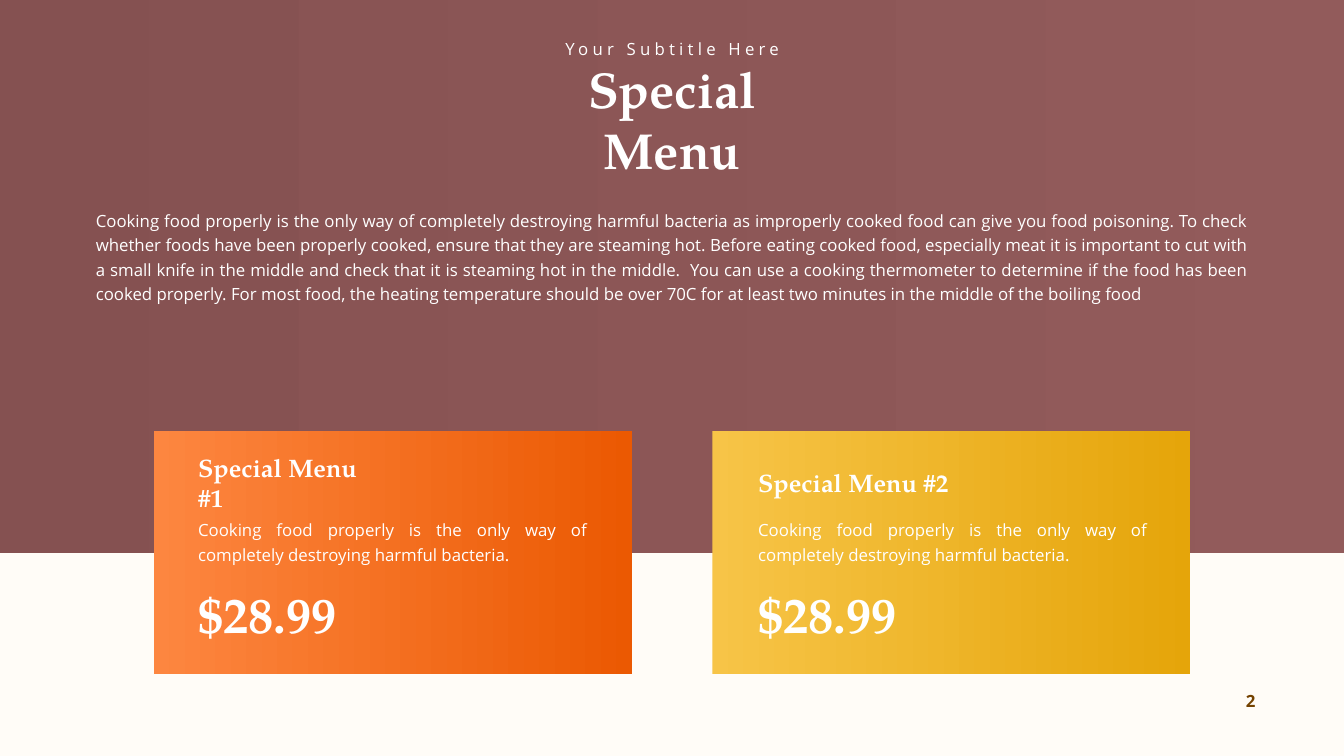
from dataclasses import dataclass

from lxml import etree
from pptx import Presentation
from pptx.dml.color import RGBColor
from pptx.enum.shapes import MSO_SHAPE
from pptx.enum.text import MSO_ANCHOR, MSO_AUTO_SIZE, PP_ALIGN
from pptx.oxml.ns import qn
from pptx.shapes.autoshape import Shape
from pptx.slide import Slide
from pptx.util import Inches, Pt

RECT = MSO_SHAPE.RECTANGLE
TOP, MIDDLE, BOTTOM = MSO_ANCHOR.TOP, MSO_ANCHOR.MIDDLE, MSO_ANCHOR.BOTTOM
LEFT, CENTER, RIGHT = PP_ALIGN.LEFT, PP_ALIGN.CENTER, PP_ALIGN.RIGHT
JUSTIFY = PP_ALIGN.JUSTIFY
FIXED = MSO_AUTO_SIZE.NONE

Box = tuple[float, float, float, float]


@dataclass(frozen=True)
class Theme:
    serif: str = "TeX Gyre Pagella"
    sans: str = "Open Sans"
    paper: str = "FFFCF7"
    white: str = "FFFFFF"
    brown: str = "744200"
    wine: tuple[str, str] = ("52090B", "65181A")
    orange: tuple[str, str] = ("FD8640", "EB5902")
    gold: tuple[str, str] = ("F7C447", "E5A50A")
    large: int = 72
    medium: int = 36
    small: int = 24
    leading: int = 35


THEME = Theme()


@dataclass(frozen=True)
class Style:
    font: str = THEME.sans
    size: int = THEME.small
    color: str = THEME.white
    bold: bool = False
    align: PP_ALIGN = LEFT
    anchor: MSO_ANCHOR = TOP
    leading: int | None = None


@dataclass(frozen=True)
class Card:
    left: float
    inner: float
    name: str
    width: float
    colors: tuple[str, str]


TITLE = Style(THEME.serif, THEME.large, bold=True, align=CENTER)
SUBTITLE = Style(align=CENTER)
BODY = Style(align=JUSTIFY, leading=THEME.leading)
NAME = Style(THEME.serif, THEME.medium, bold=True, anchor=MIDDLE)
PRICE = Style(THEME.serif, THEME.large, bold=True, anchor=MIDDLE)
NUMBER = Style(color=THEME.brown, bold=True, align=RIGHT, anchor=BOTTOM)

INTRO = (
    "Cooking food properly is the only way of completely destroying harmful "
    "bacteria as improperly cooked food can give you food poisoning. To check "
    "whether foods have been properly cooked, ensure that they are steaming hot. "
    "Before eating cooked food, especially meat it is important to cut with a "
    "small knife in the middle and check that it is steaming hot in the middle.  "
    "You can use a cooking thermometer to determine if the food has been cooked "
    "properly. For most food, the heating temperature should be over 70C for at "
    "least two minutes in the middle of the boiling food"
)
BLURB = (
    "Cooking food properly is the only way of completely destroying harmful bacteria."
)
CARDS = (
    Card(3.05, 3.83, "Special Menu #1", 3.96, THEME.orange),
    Card(14.13, 14.94, "Special Menu #2", 4.03, THEME.gold),
)


def place(shape: Shape, box: Box) -> None:
    shape.left, shape.top, shape.width, shape.height = map(Inches, box)


def write(shape: Shape, text: str, style: Style) -> None:
    frame = shape.text_frame
    frame.text = text
    frame.word_wrap = True
    frame.auto_size = FIXED
    frame.vertical_anchor = style.anchor
    para = frame.paragraphs[0]
    para.alignment = style.align
    if style.leading:
        para.line_spacing = Pt(style.leading)
    font = para.runs[0].font
    font.name = style.font
    font.size = Pt(style.size)
    font.bold = style.bold
    font.color.rgb = RGBColor.from_string(style.color)


def add_text(slide: Slide, box: Box, text: str, style: Style) -> Shape:
    shape = slide.shapes.add_textbox(*map(Inches, box))
    write(shape, text, style)
    return shape


def add_panel(
    slide: Slide, box: Box, colors: tuple[str, str], alpha: int = 100
) -> None:
    """Add a borderless block with a left-to-right gradient; alpha is in percent."""
    shape = slide.shapes.add_shape(RECT, *map(Inches, box))
    shape.shadow.inherit = False
    shape.line.fill.background()
    shape.fill.gradient()
    shape.fill.gradient_angle = 0
    for stop, color in zip(shape.fill.gradient_stops, colors):
        stop.color.rgb = RGBColor.from_string(color)
    if alpha < 100:
        for node in shape.element.spPr.iter(qn("a:srgbClr")):
            etree.SubElement(node, qn("a:alpha")).set("val", str(alpha * 1000))


def add_card(slide: Slide, card: Card) -> None:
    add_panel(slide, (card.left, 8.55, 9.48, 4.83), card.colors)
    add_text(slide, (card.inner, 9.21, card.width, 0.71), card.name, NAME)
    add_text(slide, (card.inner, 10.18, 7.91, 1.05), BLURB, BODY)
    add_text(slide, (card.inner, 11.52, 3.27, 1.31), "$28.99", PRICE)


def add_head(slide: Slide) -> None:
    title = slide.shapes.title
    place(title, (10.09, 1.11, 6.48, 1.31))
    write(title, "Special Menu", TITLE)
    # The title comes with the layout, so lift it above the backdrop.
    slide.shapes.element.append(title.element)

    label = add_text(slide, (11.05, 0.71, 4.57, 0.5), "Your Subtitle Here", SUBTITLE)
    label.text_frame.paragraphs[0].runs[0].font.element.set("spc", "600") if hasattr(
        label.text_frame.paragraphs[0].runs[0].font, "element"
    ) else label.element.find(".//" + qn("a:rPr")).set("spc", "600")

    intro = add_text(slide, (1.66, 3.97, 23.33, 2.17), INTRO, BODY)
    frame = intro.text_frame
    frame.margin_left = frame.margin_right = Inches(0.24)
    frame.margin_top = frame.margin_bottom = Inches(0.12)


def main() -> None:
    deck = Presentation()
    deck.slide_width, deck.slide_height = Inches(26.66), Inches(15)
    slide = deck.slides.add_slide(deck.slide_layouts[5])
    back = slide.background.fill
    back.solid()
    back.fore_color.rgb = RGBColor.from_string(THEME.paper)

    add_text(slide, (24.35, 13.66, 0.65, 0.5), "2", NUMBER)
    add_panel(slide, (0, 0, 26.66, 10.97), THEME.wine, alpha=70)
    add_head(slide)
    for card in CARDS:
        add_card(slide, card)
    deck.save("out.pptx")


if __name__ == "__main__":
    main()
